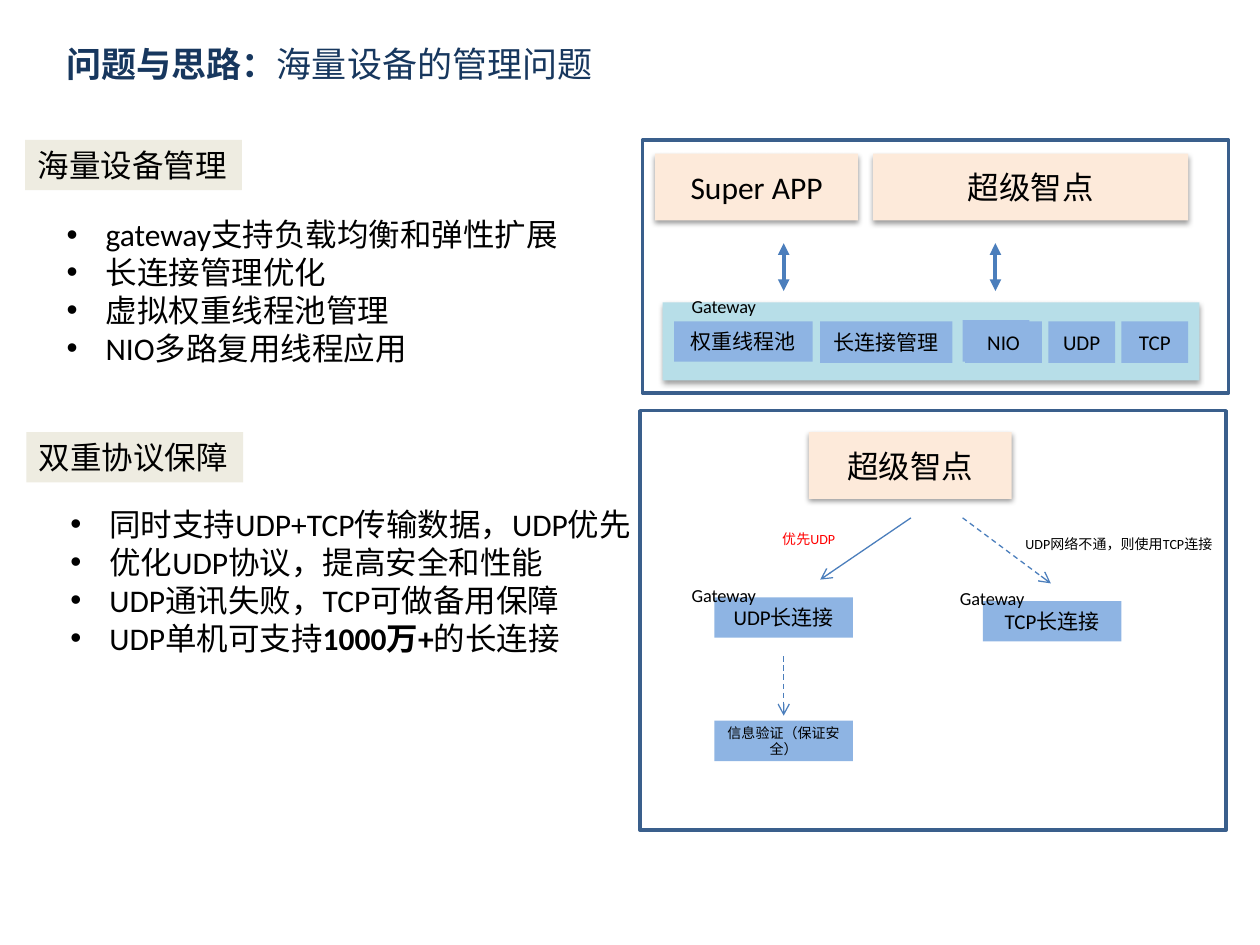
"""Build the slide on managing massive numbers of devices."""
import pptx
import pptx.dml.color
import pptx.enum.dml
import pptx.enum.shapes
import pptx.enum.text
import pptx.oxml.ns
import pptx.util
from lxml import etree

Inches, Pt = pptx.util.Inches, pptx.util.Pt
RGB = pptx.dml.color.RGBColor.from_string
ALIGN, ANCHOR = pptx.enum.text.PP_ALIGN, pptx.enum.text.MSO_ANCHOR
qn = pptx.oxml.ns.qn
COLORS = {
    "black": "000000", "navy": "17375E", "red": "FF0000", "frame": "3A5F8C",
    "arrow": "4B7EBC", "peach": "FDEADA", "aqua": "B7DEE8",
    "blue": "8EB4E3", "beige": "EEECE1",
}


def add_box(shapes, at, fill=None, line=None, shadow=False):
    sp = shapes.add_shape(pptx.enum.shapes.MSO_SHAPE.RECTANGLE, *map(Inches, at))
    sp.shadow.inherit = False
    if fill:
        sp.fill.solid()
        sp.fill.fore_color.rgb = RGB(COLORS[fill])
    else:
        sp.fill.background()
    if line:
        sp.line.color.rgb = RGB(COLORS[line])
        sp.line.width = Pt(2)
    else:
        sp.line.fill.background()
    if shadow:
        effects = sp._element.spPr.find(qn("a:effectLst"))
        outer = etree.SubElement(effects, qn("a:outerShdw"), blurRad=str(Pt(3.1)),
                                 dist=str(Pt(1.6)), dir="5400000", rotWithShape="0")
        clr = etree.SubElement(outer, qn("a:srgbClr"), val=COLORS["black"])
        etree.SubElement(clr, qn("a:alpha"), val="38000")
    return sp


def write(sp, paragraphs, size, color="black", centred=False, bullets=False):
    tf = sp.text_frame
    tf.word_wrap = True
    tf.vertical_anchor = ANCHOR.MIDDLE if centred else ANCHOR.TOP
    for i, runs in enumerate(paragraphs):
        p = tf.add_paragraph() if i else tf.paragraphs[0]
        p.alignment = ALIGN.CENTER if centred else ALIGN.LEFT
        if bullets:
            pPr = p._p.get_or_add_pPr()
            pPr.set("marL", str(Inches(0.31)))
            pPr.set("indent", str(Inches(-0.31)))
            etree.SubElement(pPr, qn("a:buFont"), typeface="Arial")
            etree.SubElement(pPr, qn("a:buChar"), char="•")
        for text, bold in runs:
            r = p.add_run()
            r.text = text
            r.font.name = "Calibri"
            r.font.size = Pt(size)
            r.font.bold = bold
            r.font.color.rgb = RGB(COLORS[color])


prs = pptx.Presentation()
prs.slide_width, prs.slide_height = Inches(10), Inches(7.5)
s = prs.slides.add_slide(prs.slide_layouts[6])

for at in [(5.1, 1.11, 4.65, 2.01), (5.08, 3.26, 4.65, 3.33)]:
    add_box(s.shapes, at, line="frame")

title = s.shapes.add_textbox(*map(Inches, (0.43, 0.29, 7.17, 0.51)))
write(title, [[("问题与思路：", True), ("海量设备的管理问题", False)]], 20, "navy")

for text, left, top, width in [
    ("Super APP", 5.2, 1.22, 1.61),
    ("超级智点", 6.93, 1.22, 2.5),
    ("超级智点", 6.42, 3.43, 1.61),
]:
    sp = add_box(s.shapes, (left, top, width, 0.53), "peach", shadow=True)
    write(sp, [[(text, False)]], 18, centred=True)

group = s.shapes.add_group_shape()
add_box(group.shapes, (5.26, 2.4, 4.26, 0.62), "aqua", shadow=True)

for text, left, top, width, height, size in [
    ("权重线程池", 5.35, 2.55, 1.1, 0.32, 12),
    ("长连接管理", 6.51, 2.55, 1.05, 0.33, 12),
    ("NIO", 7.64, 2.54, 0.53, 0.33, 12),
    ("UDP", 8.32, 2.55, 0.53, 0.33, 12),
    ("NIO", 7.66, 2.55, 0.61, 0.33, 12),
    ("TCP", 8.9, 2.55, 0.53, 0.33, 12),
    ("UDP长连接", 5.67, 4.74, 1.1, 0.32, 12),
    ("TCP长连接", 7.8, 4.77, 1.1, 0.32, 12),
    ("信息验证（保证安全）", 5.67, 5.72, 1.1, 0.32, 8),
]:
    sp = add_box(s.shapes, (left, top, width, height), "blue")
    write(sp, [[(text, False)]], size, centred=True)

for shapes, left, top in [(group.shapes, 5.16, 2.31), (s.shapes, 5.16, 4.6), (s.shapes, 7.29, 4.63)]:
    sp = shapes.add_textbox(*map(Inches, (left, top, 1.17, 0.24)))
    write(sp, [[("Gateway", False)]], 10.5, centred=True)

for x1, y1, x2, y2, width, dashed, ends in [
    (6.22, 1.93, 6.22, 2.31, 2.25, False, {"headEnd": "triangle", "tailEnd": "triangle"}),
    (7.9, 1.93, 7.9, 2.31, 2.25, False, {"headEnd": "triangle", "tailEnd": "triangle"}),
    (7.23, 4.11, 6.51, 4.6, 0.75, False, {"tailEnd": "arrow"}),
    (7.64, 4.11, 8.34, 4.63, 0.75, True, {"tailEnd": "arrow"}),
    (6.22, 5.21, 6.22, 5.68, 0.75, True, {"tailEnd": "arrow"}),
]:
    cx = s.shapes.add_connector(pptx.enum.shapes.MSO_CONNECTOR.STRAIGHT,
                                *map(Inches, (x1, y1, x2, y2)))
    cx.line.color.rgb = RGB(COLORS["arrow"])
    cx.line.width = Pt(width)
    if dashed:
        cx.line.dash_style = pptx.enum.dml.MSO_LINE.DASH
    for end, kind in ends.items():
        etree.SubElement(cx.line._get_or_add_ln(), qn("a:" + end), type=kind)
    etree.SubElement(cx._element.spPr, qn("a:effectLst"))

for text, left, top, width, color in [
    ("UDP网络不通，则使用TCP连接", 8.04, 4.2, 1.69, "black"),
    ("优先UDP", 6.11, 4.16, 0.62, "red"),
]:
    sp = s.shapes.add_textbox(*map(Inches, (left, top, width, 0.24)))
    write(sp, [[(text, False)]], 8, color)

for text, left, top in [("海量设备管理", 0.2, 1.11), ("双重协议保障", 0.21, 3.43)]:
    sp = add_box(s.shapes, (left, top, 1.72, 0.4), "beige")
    write(sp, [[(text, False)]], 18)

for at, points in [
    ((0.43, 1.66, 4.14, 1.31), [
        [("gateway支持负载均衡和弹性扩展", False)],
        [("长连接管理优化", False)],
        [("虚拟权重线程池管理", False)],
        [("NIO多路复用线程应用", False)],
    ]),
    ((0.46, 3.96, 4.7, 1.31), [
        [("同时支持UDP+TCP传输数据，UDP优先", False)],
        [("优化UDP协议，提高安全和性能", False)],
        [("UDP通讯失败，TCP可做备用保障", False)],
        [("UDP单机可支持", False), ("1000万+", True), ("的长连接", False)],
    ]),
]:
    sp = s.shapes.add_textbox(*map(Inches, at))
    write(sp, points, 18, bullets=True)

prs.save("out.pptx")
